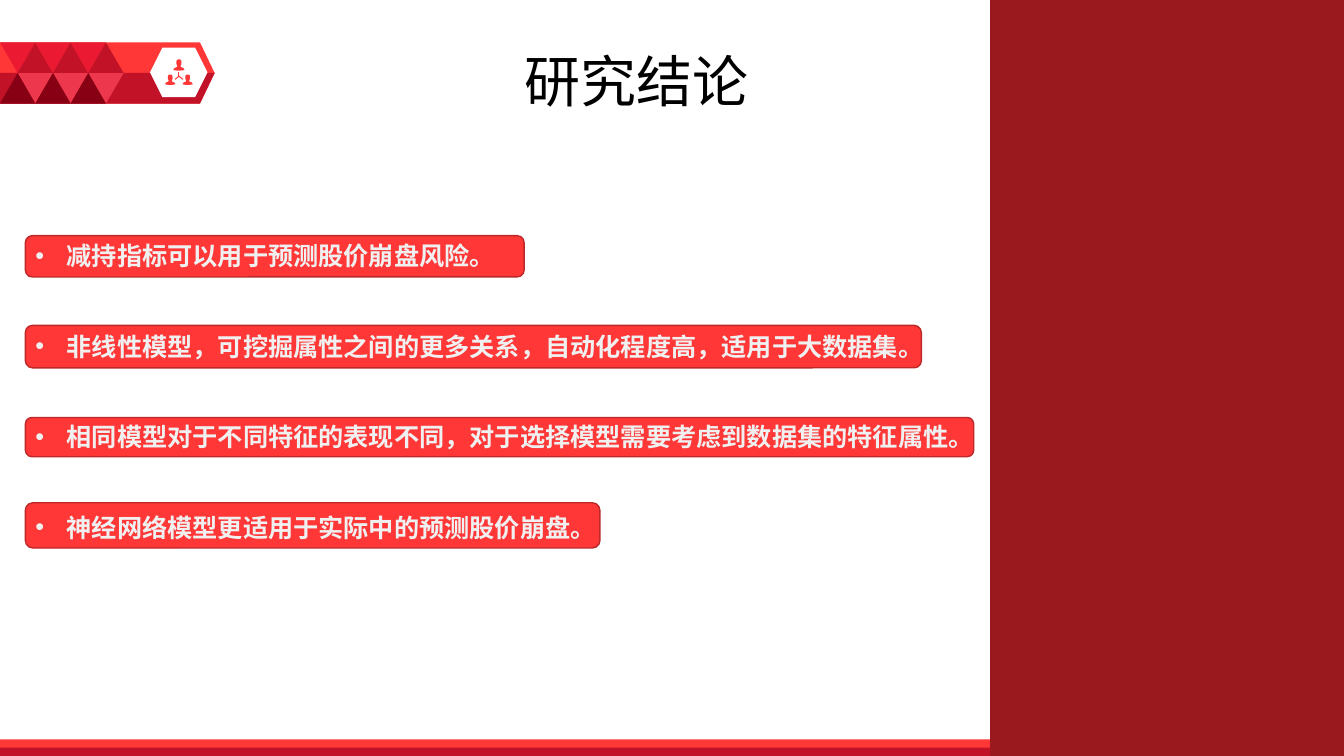
from dataclasses import dataclass
from pptx import Presentation
from pptx.dml.color import RGBColor
from pptx.enum.shapes import MSO_CONNECTOR, MSO_SHAPE
from pptx.enum.text import MSO_ANCHOR, PP_ALIGN
from pptx.oxml.ns import qn
from pptx.util import Cm, Pt
from lxml.etree import SubElement


@dataclass
class Theme:
    """Colours, fonts and type sizes of the slide."""
    red: str = "FF3737"
    deep: str = "C21227"
    rose: str = "EB1932"
    pink: str = "ED374D"
    wine: str = "880014"
    side: str = "99191E"
    edge: str = "BD2929"
    white: str = "FFFFFF"
    pale: str = "F0F0F0"
    black: str = "000000"
    head: str = "Arial"
    body: str = "Calibri"
    big: int = 40
    text: int = 18


theme = Theme()
deck = Presentation()
deck.slide_width, deck.slide_height = Cm(33.87), Cm(19.05)
slide = deck.slides.add_slide(deck.slide_layouts[5])
shapes = slide.shapes


def block(kind, left, top, width, height, fill, line=None):
    """Add a filled preset shape, measured in cm."""
    shape = shapes.add_shape(kind, Cm(left), Cm(top), Cm(width), Cm(height))
    paint(shape, fill, line)
    return shape


def paint(shape, fill, line=None):
    """Give a shape a flat fill and an optional thin outline."""
    shape.shadow.inherit = False
    shape.fill.solid()
    shape.fill.fore_color.rgb = RGBColor.from_string(fill)
    if line:
        shape.line.color.rgb = RGBColor.from_string(line)
        shape.line.width = Pt(1)
    else:
        shape.line.fill.background()


# Banner with its darker lower half
top, mid, half, tip = 1.07, 1.84, 0.77, 5.41
banner = block(MSO_SHAPE.PENTAGON, 0, top, tip, 2 * half, theme.red)
banner.adjustments[0] = 0.24
pen = shapes.build_freeform(0, Cm(mid))
pen.add_line_segments([(Cm(x), Cm(y)) for x, y in
                       ((tip, mid), (5.04, mid + half), (0, mid + half))])
paint(pen.convert_to_shape(), theme.deep)
block(MSO_SHAPE.HEXAGON, 3.78, 1.2, 1.45, 1.25, theme.white)

# Three linked people: (half width, height) shares of one outline
outline = [(0.1, 0), (0.2, 0.08), (0.23, 0.24), (0.23, 0.4), (0.15, 0.56),
           (0.17, 0.68), (0.4, 0.77), (0.5, 0.93), (0.35, 0.98), (0.1, 1)]
mirror = [(-x, y) for x, y in reversed(outline)]
for centre, start, size in ((4.51, 1.5, 0.28), (4.29, 1.88, 0.26), (4.73, 1.88, 0.26)):
    points = [(Cm(centre + x * size), Cm(start + y * size))
              for x, y in outline + mirror]
    pen = shapes.build_freeform(*points[0])
    pen.add_line_segments(points[1:])
    paint(pen.convert_to_shape(), theme.red)
for x, y in ((4.51, 1.81), (4.41, 2), (4.61, 2)):
    link = shapes.add_connector(MSO_CONNECTOR.STRAIGHT, Cm(4.51), Cm(1.92), Cm(x), Cm(y))
    link.line.color.rgb = RGBColor.from_string(theme.red)
    link.line.width = Pt(0.75)
    SubElement(link._element.spPr, qn("a:effectLst"))

# Triangle pattern: colour, shift in steps, row top, turn
step = 0.89
motif = [(theme.rose, 0, top, 180), (theme.deep, 0.5, top, 0),
         (theme.pink, 0.5, mid, 180), (theme.wine, 0, mid, 0)]
for col in range(3):
    for fill, shift, row, turn in motif:
        tri = block(MSO_SHAPE.ISOSCELES_TRIANGLE, (col + shift) * step, row, step, half, fill)
        tri.rotation = turn

# Footer stripes and side panel
block(MSO_SHAPE.RECTANGLE, 0, 18.63, 33.87, 0.42, theme.red)
block(MSO_SHAPE.RECTANGLE, 0, 18.84, 33.87, 0.21, theme.deep)
block(MSO_SHAPE.RECTANGLE, 24.95, 0, 8.92, 19.05, theme.side)

# Title
title = shapes.title
title.left, title.top, title.width, title.height = Cm(12.93), Cm(1.04), Cm(6.22), Cm(1.96)
title.text_frame.word_wrap = False
title.text_frame.vertical_anchor = MSO_ANCHOR.MIDDLE
para = title.text_frame.paragraphs[0]
para.alignment = PP_ALIGN.CENTER
run = para.add_run()
run.text = "研究结论"
run.font.name, run.font.size = theme.head, Pt(theme.big)
run.font.color.rgb = RGBColor.from_string(theme.black)

# Conclusions: bar top, width, height, wording
points = [
    (5.94, 12.57, 1.04, "减持指标可以用于预测股价崩盘风险。"),
    (8.2, 22.58, 1.07, "非线性模型，可挖掘属性之间的更多关系，自动化程度高，适用于大数据集。"),
    (10.52, 23.9, 0.99, "相同模型对于不同特征的表现不同，对于选择模型需要考虑到数据集的特征属性。"),
    (12.67, 14.48, 1.14, "神经网络模型更适用于实际中的预测股价崩盘。"),
]
left = 0.64
for y, width, height, _ in points:
    block(MSO_SHAPE.ROUNDED_RECTANGLE, left, y, width, height, theme.red, theme.edge)

frame = shapes.add_textbox(Cm(left), Cm(5.94), Cm(24.56), Cm(9.5)).text_frame
frame.word_wrap = False
for i, (*_, words) in enumerate(points):
    para = frame.paragraphs[0] if i == 0 else frame.add_paragraph()
    para.space_before = Pt(43 if i else 0)
    props = para._p.get_or_add_pPr()
    props.set("marL", str(Cm(0.79)))
    props.set("indent", str(-Cm(0.79)))
    SubElement(props, qn("a:buFont")).set("typeface", theme.head)
    SubElement(props, qn("a:buChar")).set("char", "•")
    run = para.add_run()
    run.text = words
    run.font.name, run.font.size, run.font.bold = theme.body, Pt(theme.text), True
    run.font.color.rgb = RGBColor.from_string(theme.pale)

deck.save("out.pptx")
